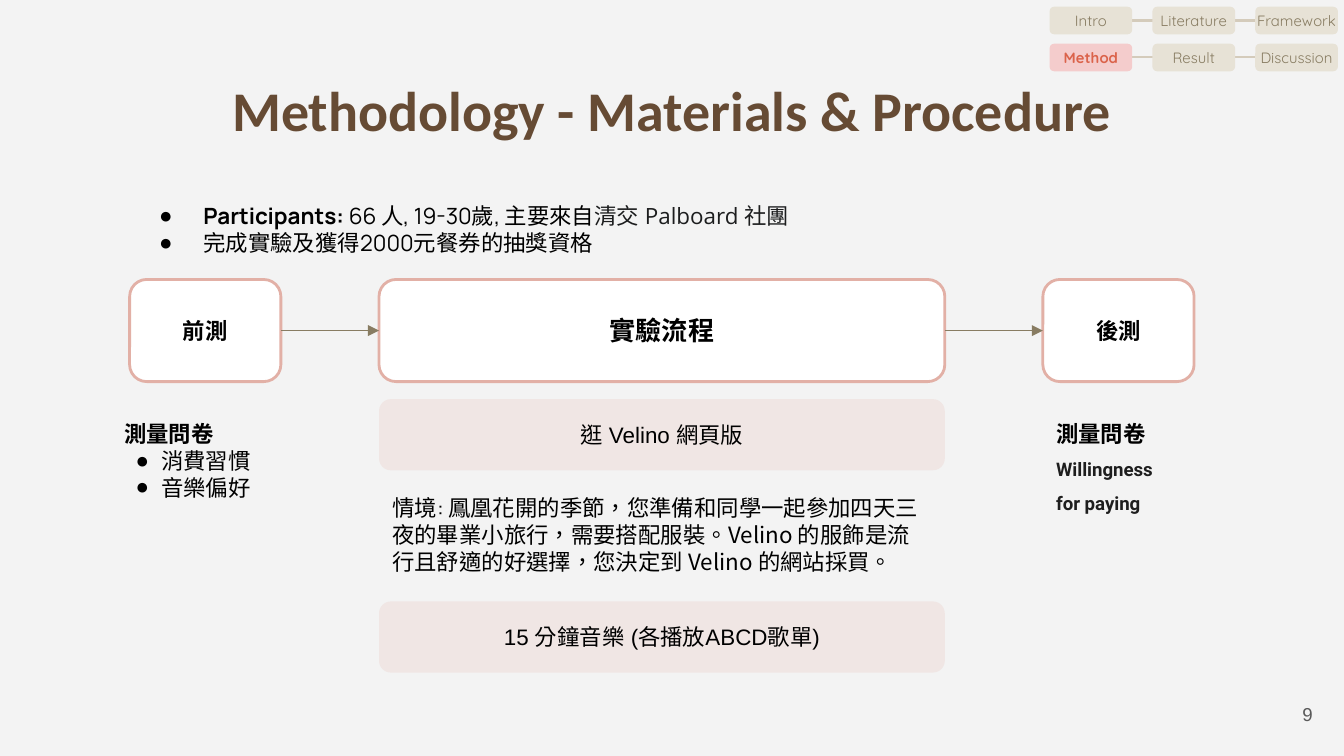
from lxml import etree
from pptx import Presentation
from pptx.dml.color import RGBColor
from pptx.enum.shapes import MSO_CONNECTOR, MSO_SHAPE
from pptx.enum.text import MSO_ANCHOR, PP_ALIGN
from pptx.oxml.ns import qn
from pptx.util import Pt

PX = 4572
ROUND = MSO_SHAPE.ROUNDED_RECTANGLE
STRAIGHT = MSO_CONNECTOR.STRAIGHT
TOP, MIDDLE = MSO_ANCHOR.TOP, MSO_ANCHOR.MIDDLE
CENTER, RIGHT = PP_ALIGN.CENTER, PP_ALIGN.RIGHT
SITE_LEFT, SITE_RIGHT = 1, 3
BLACK, OLIVE, SAND, ROSE = "000000", "887C62", "E7E2D6", "E6B8AF"


def emu(*px):
    """Turn px lengths into EMU."""
    return [v * PX for v in px]


def rgb(value):
    """Turn a hex string into a colour."""
    return RGBColor.from_string(value)


def sub(parent, tag, **attrs):
    """Append a drawing element with its attributes."""
    return etree.SubElement(parent, qn(tag), attrs)


def run(text, size=12, font="Arial", color=BLACK, bold=False):
    """Describe one run as its text, font values and colour."""
    return text, {"size": Pt(size), "name": font, "bold": bold}, color


def para(*runs, bullet=False, left=0, hang=0, **fmt):
    """Describe one paragraph with its indents and format values."""
    return runs, bullet, left, hang, fmt


def write(shape, paras, anchor=TOP, inset=20):
    """Fill a shape with the described paragraphs."""
    tf = shape.text_frame
    frame = {"word_wrap": True, "vertical_anchor": anchor}
    for side in ("left", "right", "top", "bottom"):
        frame[f"margin_{side}"] = inset * PX
    for key, value in frame.items():
        setattr(tf, key, value)
    for i, (runs, bullet, left, hang, fmt) in enumerate(paras):
        p = tf.add_paragraph() if i else tf.paragraphs[0]
        for key, value in fmt.items():
            setattr(p, key, value)
        pPr = p._p.get_or_add_pPr()
        pPr.set("marL", str(left * PX))
        pPr.set("indent", str(-hang * PX))
        if bullet:
            sub(sub(pPr, "a:buClr"), "a:srgbClr", val=BLACK)
            sub(pPr, "a:buFont", typeface="Arial")
            sub(pPr, "a:buChar", char="●")
        for text, font, color in runs:
            r = p.add_run()
            r.text = text
            for key, value in font.items():
                setattr(r.font, key, value)
            r.font.color.rgb = rgb(color)
            rPr = r._r.get_or_add_rPr()
            rPr.set("lang", "zh-TW")
            sub(rPr, "a:ea", typeface=font["name"])


def text_box(s, box, *paras, anchor=TOP):
    """Place a text box."""
    write(s.shapes.add_textbox(*emu(*box)), paras, anchor)


def card(shapes, box, label, fill, line=None, alpha=None, inset=20):
    """Place a rounded box with a centred label."""
    sp = shapes.add_shape(ROUND, *emu(*box))
    sp.shadow.inherit = False
    sp.fill.solid()
    sp.fill.fore_color.rgb = rgb(fill)
    if alpha:
        clr = sp._element.spPr.find(qn("a:solidFill"))[0]
        sub(clr, "a:alpha", val=str(alpha * 1000))
    if line:
        sp.line.color.rgb = rgb(line)
        sp.line.width = Pt(1.5)
    else:
        sp.line.fill.background()
    write(sp, [para(label, alignment=CENTER)], MIDDLE, inset)
    return sp


def connector(shapes, ends, color, width):
    """Draw a straight line between two points."""
    cx = shapes.add_connector(STRAIGHT, *emu(*ends))
    cx.line.color.rgb = rgb(color)
    cx.line.width = Pt(width)
    sub(cx._element.spPr, "a:effectLst")
    return cx


def arrow(s, start, end):
    """Join the facing sides of two boxes with an arrow."""
    cx = connector(s.shapes, (0, 0, 0, 0), OLIVE, 0.75)
    cx.begin_connect(start, SITE_RIGHT)
    cx.end_connect(end, SITE_LEFT)
    sub(cx._element.spPr.find(qn("a:ln")), "a:tailEnd", type="triangle")


def nav(s, x, y):
    """Draw the section tracker with the current section marked."""
    rows = (("Intro", "Literature", "Framework"), ("Method", "Result", "Discussion"))
    w, h, dx, dy = 123, 41, 153, 55
    shapes = s.shapes.add_group_shape().shapes
    for j, row in enumerate(rows):
        top = y + j * dy
        connector(shapes, (x + w, top + h // 2, x + 2 * dx, top + h // 2), "D4CBBB", 1.5)
        for i, name in enumerate(row):
            here = name == "Method"
            label = run(name, 8, "Quicksand", "DB634B" if here else OLIVE, here)
            card(shapes, (x + i * dx, top, w, h), label, "F4CCCC" if here else SAND, inset=0)


def flow(s, x, y):
    """Draw the three stages joined by arrows."""
    stages = ((0, 225, "前測", 12), (371, 842, "實驗流程", 14), (1359, 225, "後測", 12))
    boxes = [card(s.shapes, (x + dx, y, w, 152), run(name, size, bold=True), "FFFFFF", "E2B0A6")
             for dx, w, name, size in stages]
    for start, end in zip(boxes, boxes[1:]):
        arrow(s, start, end)


def experiment(s, x, y, w):
    """Draw the steps of the experiment and the scenario between them."""
    for dy, label in ((0, "逛 Velino 網頁版"), (301, "15 分鐘音樂 (各播放ABCD歌單)")):
        card(s.shapes, (x, y + dy, w, 106), run(label), ROSE, alpha=21)
    story = ("鳳凰花開的季節，您準備和同學一起參加四天三夜的畢業小旅行，需要搭配服裝。"
             "Velino 的服飾是流行且舒適的好選擇，您決定到 Velino 的網站採買。")
    text_box(s, (x, y + 122, w, 162),
             para(run("情境: ", font="Manrope"), run(story, font="Noto Sans CJK TC")))


def surveys(s, x, y):
    """Write the survey notes below the first and last stages."""
    heading = run("測量問卷", bold=True)
    habits = [para(run(t, font="Manrope"), bullet=True, left=100, hang=38)
              for t in ("消費習慣", "音樂偏好")]
    text_box(s, (x, y, 318, 162), para(heading, left=45), *habits)
    outcome = [para(run(t, 10, "Roboto", "1E1E1E", True), line_spacing=1.5)
               for t in ("Willingness", "for paying")]
    text_box(s, (x + 1432, y, 242, 164), para(heading), *outcome)


def participants(s, box):
    """Write the bulleted facts on the participants."""
    indent = {"bullet": True, "left": 100, "hang": 66}
    text_box(s, box,
             para(run("Participants: ", font="Manrope", bold=True),
                  run("66 人, 19-30歲, 主要來自", font="Manrope"),
                  run("清交 Palboard 社團", font="Open Sans", color="1C1D1E"), **indent),
             para(run("完成實驗及獲得2000元餐券的抽獎資格", font="Manrope"), **indent))


def main():
    """Build the slide and save it."""
    prs = Presentation()
    prs.slide_width, prs.slide_height = emu(2000, 1125)
    s = prs.slides.add_slide(prs.slide_layouts[6])
    s.background.fill.solid()
    s.background.fill.fore_color.rgb = rgb("F3F3F3")
    title = run("Methodology - Materials & Procedure", 30, "Calibri", "664B34", True)
    text_box(s, (157, 90, 1686, 144), para(title, alignment=CENTER), anchor=MIDDLE)
    number = run("9", 10, color="595959")
    text_box(s, (1853, 1020, 120, 86), para(number, alignment=RIGHT), anchor=MIDDLE)
    nav(s, 1562, 10)
    participants(s, (183, 281, 1604, 122))
    flow(s, 193, 416)
    surveys(s, 120, 605)
    experiment(s, 564, 594, 842)
    prs.save("out.pptx")


if __name__ == "__main__":
    main()
